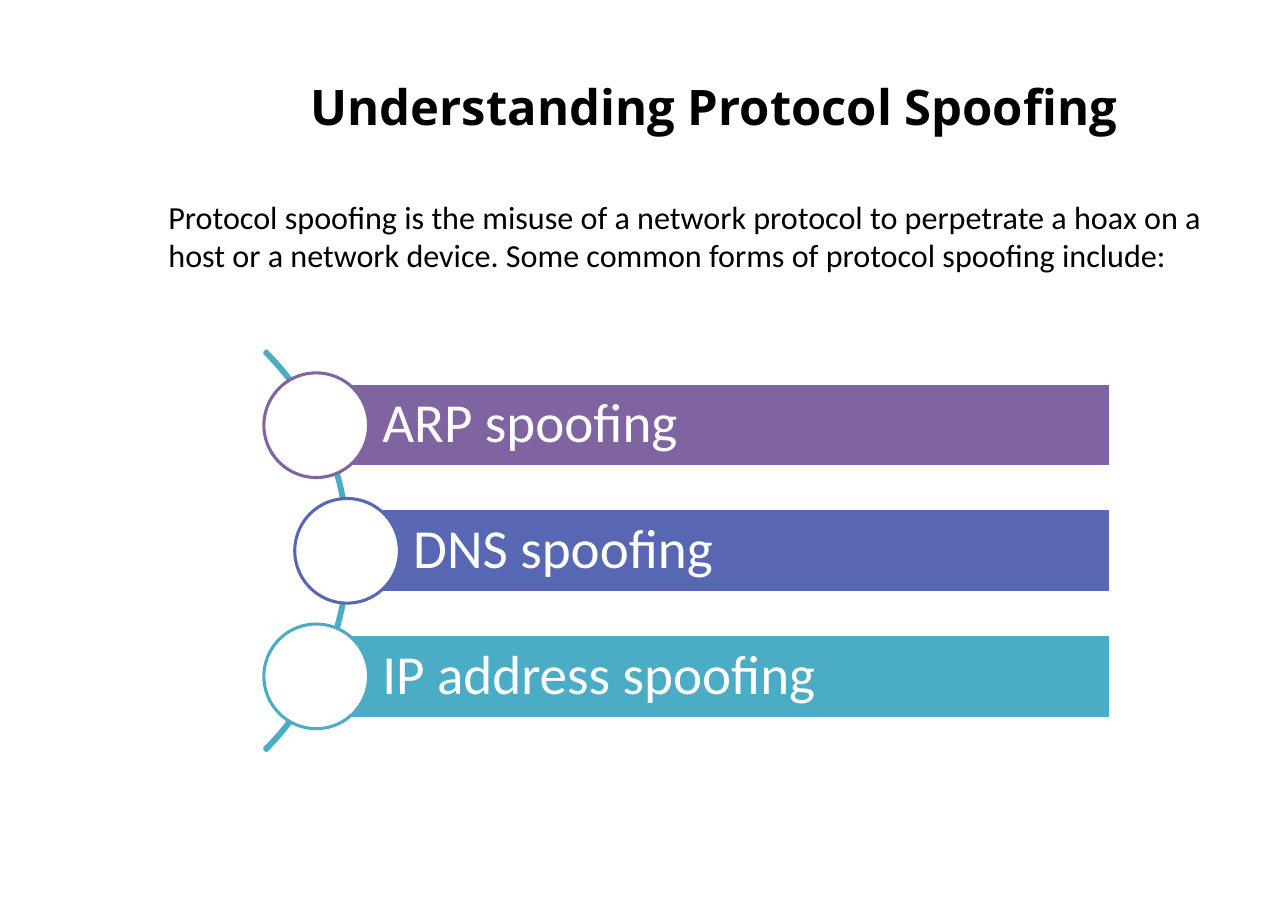
from pptx import Presentation
from pptx.dml.color import RGBColor
from pptx.enum.shapes import MSO_SHAPE
from pptx.enum.text import MSO_ANCHOR, PP_ALIGN
from pptx.util import Inches, Pt

ARC, BAR, CIRCLE = MSO_SHAPE.BLOCK_ARC, MSO_SHAPE.RECTANGLE, MSO_SHAPE.OVAL
MIDDLE, TOP = MSO_ANCHOR.MIDDLE, MSO_ANCHOR.TOP
LEFT, CENTER = PP_ALIGN.LEFT, PP_ALIGN.CENTER

# Content
TITLE = "Understanding Protocol Spoofing"
INTRO = ("Protocol spoofing is the misuse of a network protocol to perpetrate a hoax on a "
         "host or a network device. Some common forms of protocol spoofing include:")
FORMS = [  # label, colour name, indent along the arc
    ("ARP spoofing", "purple", 0),
    ("DNS spoofing", "blue", 0.28),
    ("IP address spoofing", "teal", 0),
]

THEME = {
    "black": RGBColor.from_string("000000"),
    "white": RGBColor.from_string("FFFFFF"),
    "purple": RGBColor.from_string("8064A2"),
    "blue": RGBColor.from_string("5767B4"),
    "teal": RGBColor.from_string("4BACC6"),
    "line": Pt(2),
    "title": {"name": "Open Sans", "size": Pt(32), "bold": True},
    "intro": {"name": "Calibri", "size": Pt(21)},
    "label": {"name": "Calibri", "size": Pt(36)},
}

# Layout in inches
CENTER_X, CENTER_Y = 2.87, 5.0
PITCH = 1.14
BAR_RIGHT, BAR_HEIGHT = 10.08, 0.76
CIRCLE_SIZE = 0.95
ARC_LEFT, ARC_SIZE = -1.96, 5.13


def write(box, text, style, color, align, anchor, insets):
    frame = box.text_frame
    frame.word_wrap = True
    frame.vertical_anchor = anchor
    for side, inset in zip(("left", "top", "right", "bottom"), insets):
        setattr(frame, f"margin_{side}", Inches(inset))
    para = frame.paragraphs[0]
    para.alignment = align
    span = para.add_run()
    span.text = text
    for name, value in THEME[style].items():
        setattr(span.font, name, value)
    span.font.color.rgb = THEME[color]
    return para


def add_shape(page, kind, left, top, width, height, fill, line):
    shape = page.shapes.add_shape(kind, *map(Inches, (left, top, width, height)))
    shape.shadow.inherit = False
    if fill:
        shape.fill.solid()
        shape.fill.fore_color.rgb = THEME[fill]
    else:
        shape.fill.background()
    shape.line.color.rgb = THEME[line]
    shape.line.width = THEME["line"]
    return shape


def main():
    deck = Presentation()
    deck.slide_width, deck.slide_height = Inches(11.69), Inches(8.27)
    page = deck.slides.add_slide(deck.slide_layouts[5])

    # Title
    title = page.shapes.title
    title.left, title.top, title.width, title.height = map(Inches, (2.34, 0.38, 8.29, 1.16))
    write(title, TITLE, "title", "black", CENTER, MIDDLE, (0.11, 0.06, 0.11, 0.06))

    # Arc behind the list, from 315 to 45 degrees
    arc = add_shape(page, ARC, ARC_LEFT, CENTER_Y - ARC_SIZE / 2, ARC_SIZE, ARC_SIZE, None, "teal")
    for index, value in enumerate((189, 27, 0.005)):
        arc.adjustments[index] = value

    # Bars, each starting at the centre of its circle
    for row, (label, color, indent) in enumerate(FORMS):
        x = CENTER_X + indent
        y = CENTER_Y + (row - (len(FORMS) - 1) / 2) * PITCH
        bar = add_shape(page, BAR, x, y - BAR_HEIGHT / 2, BAR_RIGHT - x, BAR_HEIGHT, color, "white")
        para = write(bar, label, "label", "white", LEFT, MIDDLE, (0.6, 0.1, 0.1, 0.1))
        para.line_spacing = 0.9
        add_shape(page, CIRCLE, x - CIRCLE_SIZE / 2, y - CIRCLE_SIZE / 2,
                  CIRCLE_SIZE, CIRCLE_SIZE, "white", color)

    # Introduction
    intro = page.shapes.add_textbox(*map(Inches, (1.43, 1.74, 9.91, 0.81)))
    write(intro, INTRO, "intro", "black", LEFT, TOP, (0.1, 0.05, 0.1, 0.05))

    deck.save("out.pptx")


if __name__ == "__main__":
    main()
